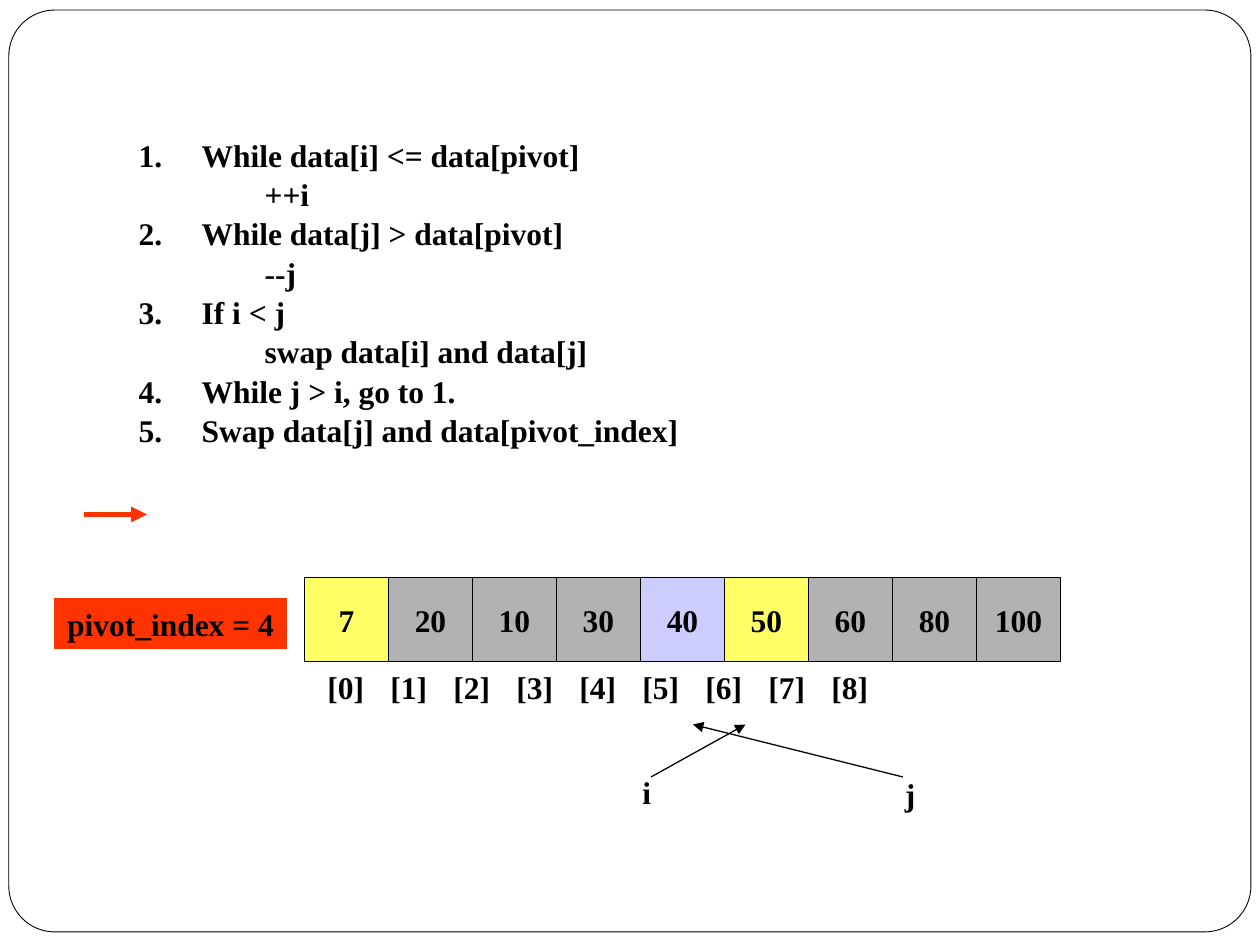
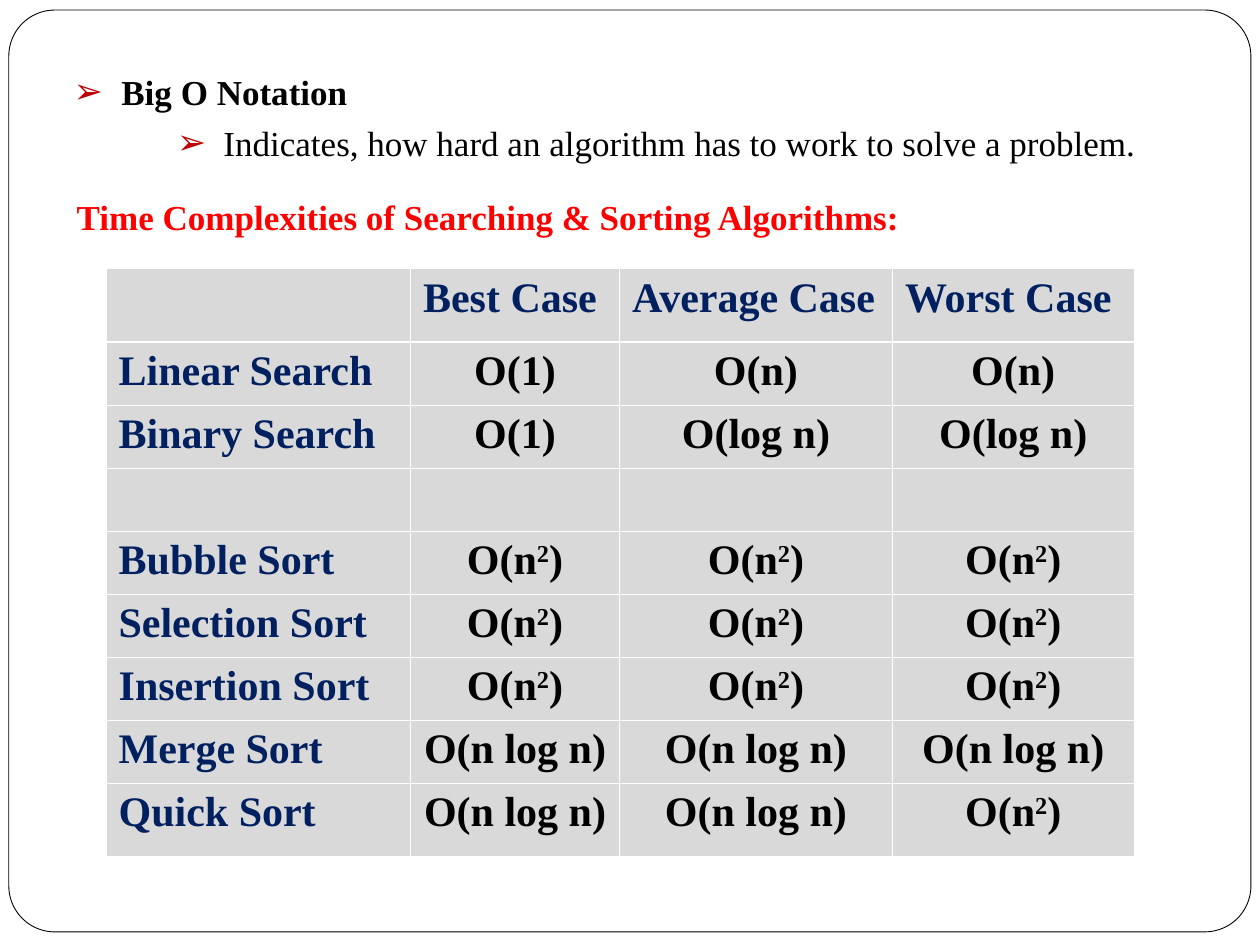
from lxml import etree
from pptx import Presentation, util as u
from pptx.dml.color import RGBColor
from pptx.enum import shapes, text
from pptx.oxml import ns

FONT = "Times New Roman"
COLORS = {
    "black": "000000", "white": "FFFFFF", "grey": "B2B2B2", "yellow": "FFFF66",
    "lilac": "CCCCFF", "orange": "FF3300", "red": "FF0000", "dark red": "C00000",
    "navy": "002060", "table grey": "D9D9D9",
}
RGB = {name: RGBColor.from_string(value) for name, value in COLORS.items()}

presentation = Presentation()
presentation.slide_width, presentation.slide_height = u.Inches(10), u.Inches(7.5)


def grid(*units):
    """Turn grid units, 120 to the slide's width, into lengths."""
    return [u.Emu(round(unit * presentation.slide_width / 120)) for unit in units]


def style(paragraph, size, color="black", bold=True, margin=0, indent=0, bullet=None):
    """Format a paragraph; bullet is a (tag, attribute, value, color) tuple."""
    properties = paragraph._p.get_or_add_pPr()
    properties.set("marL", str(u.Inches(margin)))
    properties.set("indent", str(u.Inches(indent)))
    if bullet:
        tag, attribute, value, bullet_color = bullet
        fill = etree.SubElement(properties, ns.qn("a:buClr"))
        etree.SubElement(fill, ns.qn("a:srgbClr"), val=COLORS[bullet_color])
        etree.SubElement(properties, ns.qn(tag)).set(attribute, value)
    else:
        etree.SubElement(properties, ns.qn("a:buNone"))
    font = paragraph.font
    font.name, font.size, font.bold = FONT, u.Pt(size), bold
    font.color.rgb = RGB[color]


# Shared frame on the master, and the list placeholder of each slide
layout = presentation.slide_layouts[1]
partition_slide, complexity_slide = [presentation.slides.add_slide(layout) for _ in range(2)]

border = partition_slide.shapes.add_shape(
    shapes.MSO_SHAPE.ROUNDED_RECTANGLE, *grid(0.84, 0.96, 118.3, 87.8))
border.adjustments[0] = 0.05
border.shadow.inherit = False
border.fill.background()
border.line.color.rgb, border.line.width = RGB["black"], u.Pt(0.5)
border.element.nvSpPr.cNvPr.id = 50
presentation.slide_master.element.cSld.spTree.append(border.element)

number = ("a:buAutoNum", "type", "arabicPeriod", "black")
arrow_bullet = ("a:buChar", "char", "➢", "dark red")
step = dict(size=18, margin=0.5, indent=-0.5, bullet=number)
action = dict(size=18, margin=1)
lists = [
    (partition_slide, (12, 12.2, 80, 41), 0, 1.04, [
        ("While data[i] <= data[pivot]", step),
        ("++i", action),
        ("While data[j] > data[pivot]", step),
        ("--j", action),
        ("If i < j", step),
        ("swap data[i] and data[j]", action),
        ("While j > i, go to 1.", step),
        ("Swap data[j] and data[pivot_index]", step),
    ]),
    (complexity_slide, (5.8, 6.1, 106, 10), 5, 1, [
        ("Big O Notation",
         dict(size=20, margin=0.38, indent=-0.38, bullet=arrow_bullet)),
        ("Indicates, how hard an algorithm has to work to solve a problem.",
         dict(size=20, bold=False, margin=1.19, indent=-0.37, bullet=arrow_bullet)),
    ]),
]
for slide, box, space_before, line_spacing, lines in lists:
    body = slide.placeholders[1]
    body.left, body.top, body.width, body.height = grid(*box)
    frame = body.text_frame
    frame.auto_size = text.MSO_AUTO_SIZE.NONE
    for index, (line, look) in enumerate(lines):
        paragraph = frame.add_paragraph() if index else frame.paragraphs[0]
        paragraph.text = line
        paragraph.level = 0 if look["margin"] < 1 else 1
        style(paragraph, **look)
        paragraph.space_before = u.Pt(space_before)
        paragraph.line_spacing = line_spacing

# Slide 1: array after partitioning
empty_title = partition_slide.shapes.title.element
empty_title.getparent().remove(empty_title)

CELL, ARRAY_LEFT, ARRAY_TOP = 8, 29, 55
cell_fills = {0: "yellow", 4: "lilac", 5: "yellow"}
boxes = [
    (str(value), (ARRAY_LEFT + CELL * index, ARRAY_TOP, CELL, CELL),
     cell_fills.get(index, "grey"), "black")
    for index, value in enumerate([7, 20, 10, 30, 40, 50, 60, 80, 100])
]
boxes.append(("pivot_index = 4", (5.2, 57, 22.1, 4.8), "orange", "orange"))
for label, box, fill, line in boxes:
    shape = partition_slide.shapes.add_shape(shapes.MSO_SHAPE.RECTANGLE, *grid(*box))
    shape.shadow.inherit = False
    shape.fill.solid()
    shape.fill.fore_color.rgb = RGB[fill]
    shape.line.color.rgb, shape.line.width = RGB[line], u.Pt(0.75)
    shape.text_frame.text = label
    shape.text_frame.word_wrap = False
    shape.text_frame.vertical_anchor = text.MSO_ANCHOR.MIDDLE
    paragraph = shape.text_frame.paragraphs[0]
    paragraph.alignment = text.PP_ALIGN.CENTER
    style(paragraph, 18)

index_stops = [0.73, 1.4, 2.13, 2.8, 3.4, 4.13, 4.8, 5.4]
labels = [
    ("\t".join(f"[{index}]" for index in range(9)), (30, 63, 74, 4.8), index_stops),
    ("i", (60, 73, 4, 4.8), []),
    ("j", (85, 73.2, 4, 4.8), []),
]
for label, box, stops in labels:
    text_box = partition_slide.shapes.add_textbox(*grid(*box))
    text_box.text_frame.word_wrap = True
    paragraph = text_box.text_frame.paragraphs[0]
    paragraph.text = label
    style(paragraph, 18)
    if stops:
        tab_list = etree.Element(ns.qn("a:tabLst"))
        for stop in stops:
            etree.SubElement(tab_list, ns.qn("a:tab"), pos=str(u.Inches(stop)), algn="l")
        paragraph._p.pPr.find(ns.qn("a:buNone")).addnext(tab_list)

arrows = [
    ((86, 74, 66, 69), "black", 0.75),
    ((62, 74, 71, 69), "black", 0.75),
    ((8, 49, 14, 49), "orange", 3),
]
for ends, color, width in arrows:
    arrow = partition_slide.shapes.add_connector(shapes.MSO_CONNECTOR.STRAIGHT, *grid(*ends))
    arrow.line.color.rgb, arrow.line.width = RGB[color], u.Pt(width)
    properties = arrow.element.spPr
    etree.SubElement(properties.find(ns.qn("a:ln")), ns.qn("a:tailEnd"), type="triangle")
    etree.SubElement(properties, ns.qn("a:effectLst"))

# Slide 2: title and complexity table
title = complexity_slide.shapes.title
title.left, title.top, title.width, title.height = grid(6.1, 18, 84, 5.3)
title.text_frame.text = "Time Complexities of Searching & Sorting Algorithms:"
title.text_frame.auto_size = text.MSO_AUTO_SIZE.NONE
title.text_frame.paragraphs[0].alignment = text.PP_ALIGN.LEFT
style(title.text_frame.paragraphs[0], 20, "red")

rows = [
    ["", "Best Case", "Average Case", "Worst Case"],
    ["Linear Search", "O(1)", "O(n)", "O(n)"],
    ["Binary Search", "O(1)", "O(log n)", "O(log n)"],
    [""] * 4,
    ["Bubble Sort"] + ["O(n^2)"] * 3,
    ["Selection Sort"] + ["O(n^2)"] * 3,
    ["Insertion Sort"] + ["O(n^2)"] * 3,
    ["Merge Sort"] + ["O(n log n)"] * 3,
    ["Quick Sort", "O(n log n)", "O(n log n)", "O(n^2)"],
]
column_widths = grid(29, 19.9, 26, 23)
row_heights = grid(7, *[6] * 7, 7)
table = complexity_slide.shapes.add_table(
    len(rows), len(column_widths), *grid(10.1, 25.6), sum(column_widths), sum(row_heights)).table
for column, width in zip(table.columns, column_widths):
    column.width = width
for row, height in zip(table.rows, row_heights):
    row.height = height

for row_index, row in enumerate(rows):
    for column_index, value in enumerate(row):
        cell = table.cell(row_index, column_index)
        paragraph = cell.text_frame.paragraphs[0]
        is_heading = row_index == 0 or column_index == 0
        style(paragraph, 24, "navy" if is_heading else "black")
        if not is_heading:
            paragraph.alignment = text.PP_ALIGN.CENTER
        base, caret, rest = value.partition("^")
        if base:
            paragraph.add_run().text = base
        if caret:
            exponent = paragraph.add_run()
            exponent.text = rest[0]
            exponent._r.get_or_add_rPr().set("baseline", "30000")
            paragraph.add_run().text = rest[1:]

        properties = cell._tc.get_or_add_tcPr()
        for side in "LRTB":
            below_header = (row_index, side) in [(0, "B"), (1, "T")]
            edge = etree.SubElement(properties, ns.qn(f"a:ln{side}"),
                                    w=str(u.Pt(1.5 if below_header else 0.5)))
            fill = etree.SubElement(edge, ns.qn("a:solidFill"))
            etree.SubElement(fill, ns.qn("a:srgbClr"), val=COLORS["white"])
        cell.fill.solid()
        cell.fill.fore_color.rgb = RGB["table grey"]

presentation.save("out.pptx")
